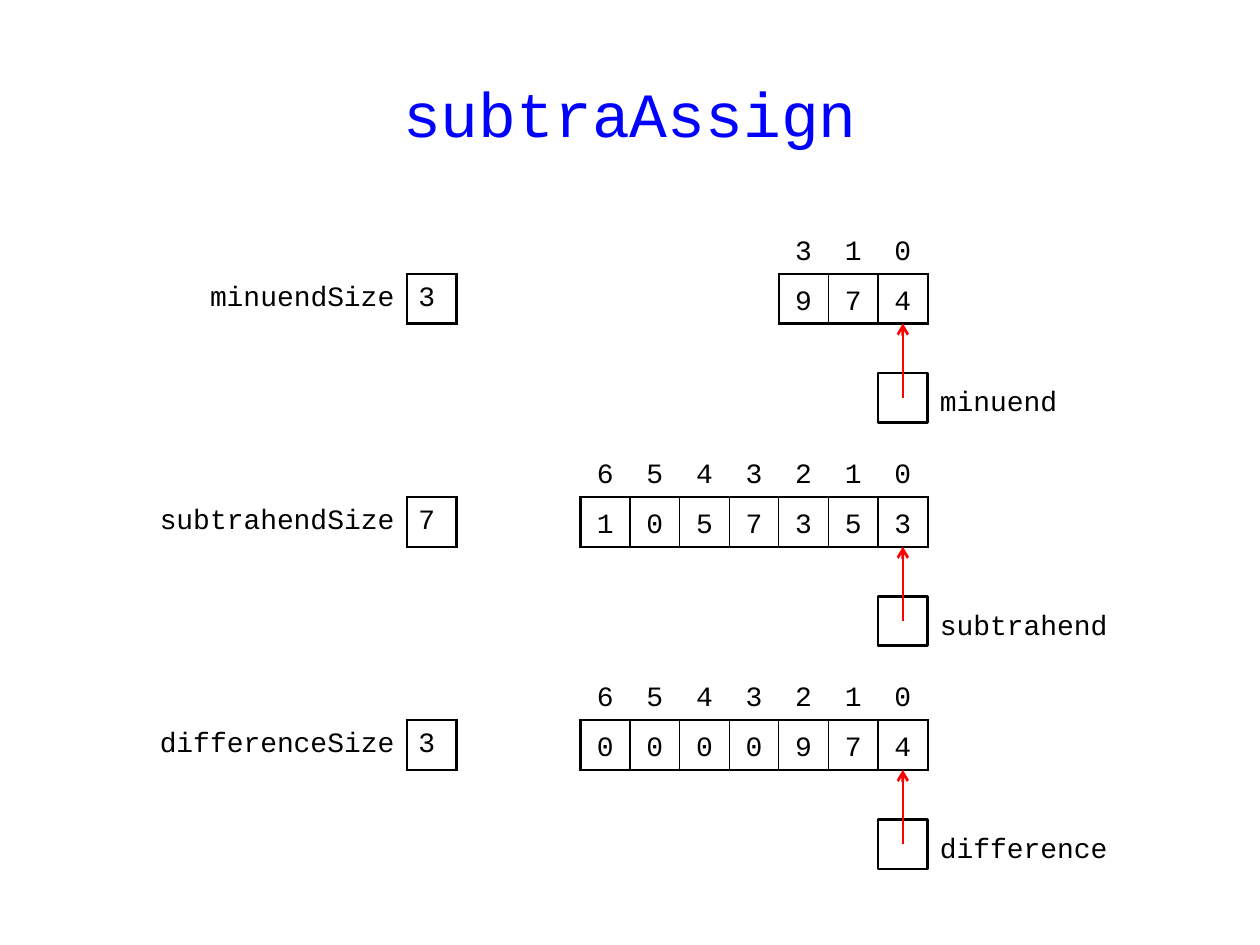
from dataclasses import dataclass

from lxml import etree
from pptx import Presentation
from pptx.dml.color import RGBColor
from pptx.enum.shapes import MSO_CONNECTOR, MSO_SHAPE
from pptx.enum.text import MSO_ANCHOR, PP_ALIGN
from pptx.oxml.ns import qn
from pptx.util import Cm, Pt

LEFT, CENTER, RIGHT = PP_ALIGN.LEFT, PP_ALIGN.CENTER, PP_ALIGN.RIGHT
MIDDLE = MSO_ANCHOR.MIDDLE
RECTANGLE = MSO_SHAPE.RECTANGLE
STRAIGHT = MSO_CONNECTOR.STRAIGHT
TITLE_ONLY = 5


@dataclass(frozen=True)
class Theme:
    font: str = "Courier New"
    title_size: float = 36
    text_size: float = 16
    title_color: str = "0000FF"
    text_color: str = "000000"
    box_color: str = "FFFFFF"
    arrow_color: str = "FF0000"
    thick: float = 1.5
    thin: float = 0.75


# Measures in centimetres
CELL = 1
ARRAY_RIGHT = 18.7
SIZE_RIGHT = 9.2
FIRST_TOP = 4.52
GROUP_STEP = 4.5

# name, size, indices, digits, width of the size label, width of the name
NUMBERS = [
    ("minuend", "3", "310", "974", 4.5, 3),
    ("subtrahend", "7", "6543210", "1057353", 5.5, 4),
    ("difference", "3", "6543210", "0000974", 5.5, 4),
]


class DiagramBuilder:
    def __init__(self, slide, theme):
        self.slide = slide
        self.theme = theme

    def style_paragraph(self, paragraph, alignment, size=None, color=None):
        paragraph.alignment = alignment
        paragraph.font.name = self.theme.font
        paragraph.font.size = Pt(size or self.theme.text_size)
        paragraph.font.color.rgb = RGBColor.from_string(color or self.theme.text_color)

    def title(self, text):
        title = self.slide.shapes.title
        title.left, title.top, title.width, title.height = Cm(0.7), Cm(1.02), Cm(24), Cm(2.5)
        title.text_frame.text = text
        title.text_frame.vertical_anchor = MIDDLE
        self.style_paragraph(title.text_frame.paragraphs[0], CENTER,
                             self.theme.title_size, self.theme.title_color)

    def table(self, right, top, widths, row_count):
        """Add an unstyled table that ends at the given right edge."""
        total = sum(widths)
        table = self.slide.shapes.add_table(
            row_count, len(widths), Cm(right - total), Cm(top),
            Cm(total), Cm(CELL * row_count)).table
        table.first_row = table.horz_banding = False
        for column, width in zip(table.columns, widths):
            column.width = Cm(width)
        return table

    def cell(self, cell, text, alignment, margins, borders, line_spacing=None):
        """Fill a cell; borders maps L, R, T, B (in this order) to points."""
        cell.text = text
        cell.vertical_anchor = MIDDLE
        cell.margin_left, cell.margin_top, cell.margin_right, cell.margin_bottom = map(Cm, margins)
        paragraph = cell.text_frame.paragraphs[0]
        self.style_paragraph(paragraph, alignment)
        paragraph.line_spacing = line_spacing
        properties = cell._tc.get_or_add_tcPr()
        for side, width in borders.items():
            line = etree.SubElement(properties, qn(f"a:ln{side}"), w=str(Pt(width)))
            fill = etree.SubElement(line, qn("a:solidFill"))
            etree.SubElement(fill, qn("a:srgbClr"), val=self.theme.text_color)
        cell.fill.background()

    def digit_array(self, top, indices, digits):
        thick, thin = self.theme.thick, self.theme.thin
        table = self.table(ARRAY_RIGHT, top, [CELL] * len(digits), 2)
        last = len(digits) - 1
        for column, (index, digit) in enumerate(zip(indices, digits)):
            self.cell(table.cell(0, column), index, CENTER,
                      (0.25, 0.05, 0.25, 0.05), {"B": thick}, 1.25)
            borders = {"L": thick if column == 0 else thin,
                       "R": thick if column == last else thin,
                       "T": thick, "B": thick}
            self.cell(table.cell(1, column), digit, CENTER,
                      (0.1, 0.05, 0.1, 0.05), borders, 1.25)

    def size_field(self, top, label, value, label_width):
        thick = self.theme.thick
        table = self.table(SIZE_RIGHT, top, [label_width, CELL], 1)
        self.cell(table.cell(0, 0), label, RIGHT, (0.25, 0.1, 0.25, 0.1), {"R": thick})
        self.cell(table.cell(0, 1), value, CENTER, (0.15, 0.1, 0.35, 0.1),
                  dict.fromkeys("LRTB", thick))

    def label(self, left, top, width, text):
        text_box = self.slide.shapes.add_textbox(Cm(left), Cm(top), Cm(width), Cm(CELL))
        frame = text_box.text_frame
        frame.word_wrap = True
        frame.vertical_anchor = MIDDLE
        frame.margin_left, frame.margin_right = Cm(0.25), Cm(0.2)
        frame.margin_top, frame.margin_bottom = Cm(0.12), 0
        frame.text = text
        self.style_paragraph(frame.paragraphs[0], LEFT)

    def box(self, left, top):
        box = self.slide.shapes.add_shape(RECTANGLE, Cm(left), Cm(top), Cm(CELL), Cm(CELL))
        box.shadow.inherit = False
        box.fill.solid()
        box.fill.fore_color.rgb = RGBColor.from_string(self.theme.box_color)
        box.line.color.rgb = RGBColor.from_string(self.theme.text_color)
        box.line.width = Pt(self.theme.thick)

    def arrow_up(self, x, start, end):
        arrow = self.slide.shapes.add_connector(STRAIGHT, Cm(x), Cm(start), Cm(x), Cm(end))
        arrow.line.color.rgb = RGBColor.from_string(self.theme.arrow_color)
        arrow.line.width = Pt(self.theme.thick)
        etree.SubElement(arrow.line._get_or_add_ln(), qn("a:tailEnd"), type="arrow")
        etree.SubElement(arrow._element.spPr, qn("a:effectLst"))

    def pointer(self, top, name, name_width):
        """Add a named box whose arrow reaches the array one cell above."""
        left = ARRAY_RIGHT - CELL
        self.label(ARRAY_RIGHT, top, name_width, name)
        self.box(left, top)
        self.arrow_up(left + CELL / 2, top + CELL / 2, top - CELL)


def main():
    presentation = Presentation()
    presentation.slide_width, presentation.slide_height = Cm(25.4), Cm(19.05)
    slide = presentation.slides.add_slide(presentation.slide_layouts[TITLE_ONLY])
    diagram = DiagramBuilder(slide, Theme())
    diagram.title("subtraAssign")
    for group, (name, size, indices, digits, label_width, name_width) in enumerate(NUMBERS):
        top = FIRST_TOP + group * GROUP_STEP
        diagram.size_field(top + CELL, f"{name}Size", size, label_width)
        diagram.digit_array(top, indices, digits)
        diagram.pointer(top + 3 * CELL, name, name_width)
    presentation.save("out.pptx")


if __name__ == "__main__":
    main()
